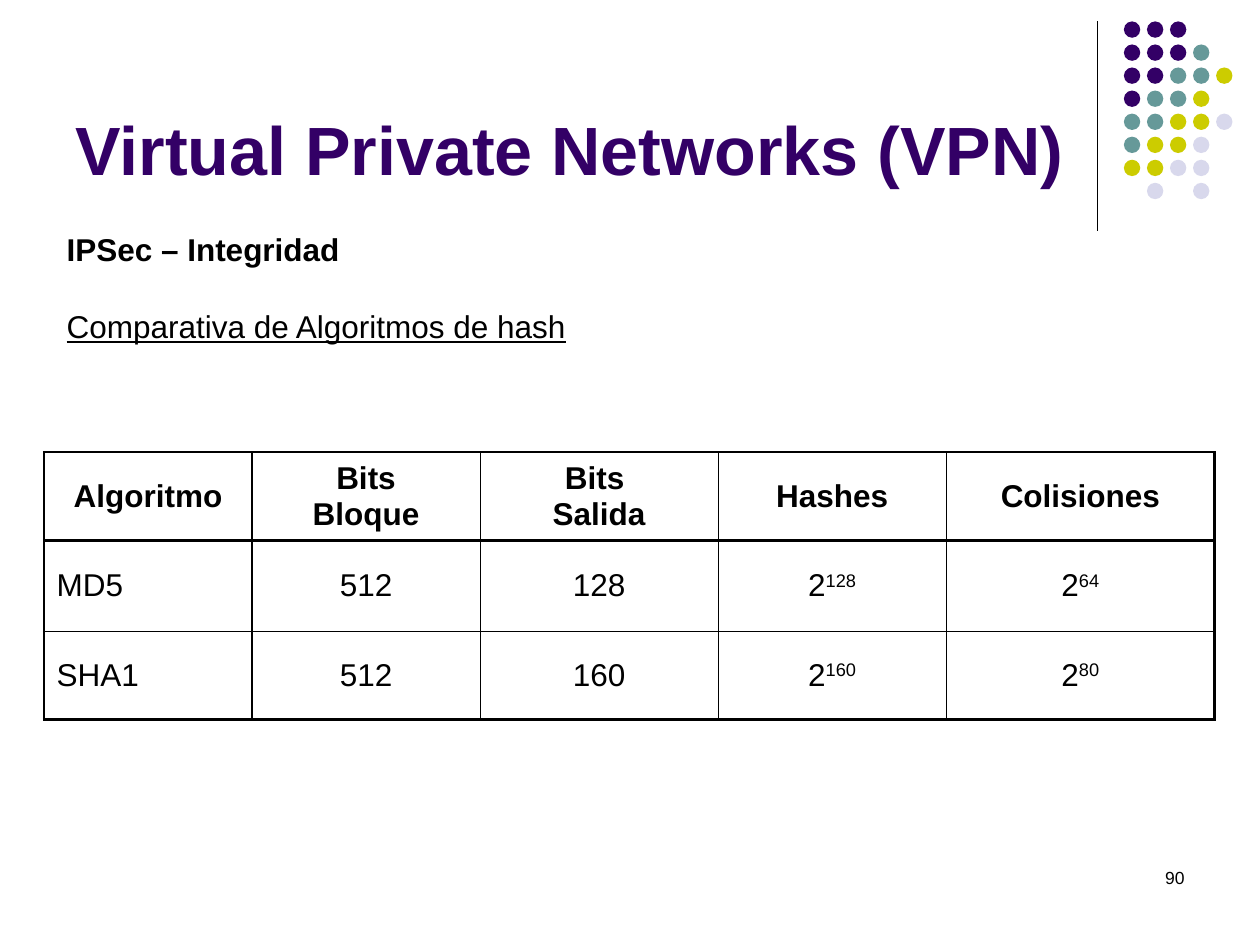
import pptx
import pptx.dml.color
import pptx.enum.shapes
import pptx.enum.text
import pptx.oxml
import pptx.oxml.ns
import pptx.util
from pptx.util import Inches

ALIGN = pptx.enum.text.PP_ALIGN
ANCHOR = pptx.enum.text.MSO_ANCHOR
BLACK, PURPLE = "000000", "330066"
DOT_COLORS = {"p": PURPLE, "t": "669999", "y": "CCCC00", "l": "D8D8EC"}
DOT_ROWS = ["ppp", "pppt", "pptty", "ptty", "ttyyl", "tyyl", "yyll", " l l"]

HEADINGS = ["Algoritmo", "Bits\nBloque", "Bits \nSalida", "Hashes", "Colisiones"]
# A caret separates a base from its exponent
ALGORITHMS = [
    ["MD5", "512", "128", "2^128", "2^64"],
    ["SHA1", "512", "160", "2^160", "2^80"],
]
COLUMN_WIDTHS = [1.65, 1.81, 1.89, 1.81, 2.13]
ROW_HEIGHTS = [0.7, 0.72, 0.7]
THICK, MEDIUM, THIN, HAIR = 1.47, 1.08, 0.45, 0.23


def color(value):
    return pptx.dml.color.RGBColor.from_string(value)


def add_span(para, text, size, ink=BLACK, bold=False, underline=False):
    span = para.add_run()
    span.text = text
    font = span.font
    font.name, font.size = "Arial", pptx.util.Pt(size)
    font.bold, font.underline = bold, underline
    font.color.rgb = color(ink)
    return span


def add_text_box(page, left, top, width, height, anchor=ANCHOR.TOP):
    box = page.shapes.add_textbox(Inches(left), Inches(top), Inches(width), Inches(height))
    box.text_frame.word_wrap = True
    box.text_frame.vertical_anchor = anchor
    return box.text_frame


def add_dots(page, left, top, pitch=0.183, size=0.13):
    for row, codes in enumerate(DOT_ROWS):
        for column, code in enumerate(codes):
            if code == " ":
                continue
            dot = page.shapes.add_shape(
                pptx.enum.shapes.MSO_SHAPE.OVAL,
                Inches(left + column * pitch), Inches(top + row * pitch),
                Inches(size), Inches(size))
            dot.shadow.inherit = False
            dot.fill.solid()
            dot.fill.fore_color.rgb = color(DOT_COLORS[code])
            dot.line.fill.background()


def add_divider(page, left, top, height):
    line = page.shapes.add_connector(
        pptx.enum.shapes.MSO_CONNECTOR.STRAIGHT,
        Inches(left), Inches(top), Inches(left), Inches(top + height))
    line.line.color.rgb = color(BLACK)
    line.line.width = pptx.util.Pt(0.75)
    properties = line._element.spPr
    properties.append(properties.makeelement(pptx.oxml.ns.qn("a:effectLst"), {}))


def add_title(page, left, top, width, height):
    frame = add_text_box(page, left, top, width, height, ANCHOR.BOTTOM)
    add_span(frame.paragraphs[0], "Virtual Private Networks (VPN)", 39, PURPLE, bold=True)


def add_subtitles(page, left, top, width, height):
    frame = add_text_box(page, left, top, width, height)
    add_span(frame.paragraphs[0], "IPSec – Integridad", 18, bold=True)
    para = frame.add_paragraph()
    para.space_before = pptx.util.Pt(22)
    add_span(para, "Comparativa de Algoritmos de hash", 18, underline=True)


def add_page_number(page, left, top, width, height):
    para = add_text_box(page, left, top, width, height).paragraphs[0]
    para.alignment = ALIGN.RIGHT
    add_span(para, "90", 10)


def set_borders(cell, widths):
    properties = cell._tc.get_or_add_tcPr()
    for position, (side, width) in enumerate(zip("LRTB", widths)):
        border = pptx.oxml.parse_xml(
            f'<a:ln{side} {pptx.oxml.ns.nsdecls("a")} w="{pptx.util.Pt(width)}">'
            f'<a:solidFill><a:srgbClr val="{BLACK}"/></a:solidFill></a:ln{side}>')
        properties.insert(position, border)


def fill_cell(cell, text, bold, alignment):
    cell.fill.background()
    cell.vertical_anchor = ANCHOR.MIDDLE
    para = cell.text_frame.paragraphs[0]
    para.alignment = alignment
    base, _, exponent = text.partition("^")
    for index, line in enumerate(base.split("\n")):
        if index:
            para.add_line_break()
        add_span(para, line, 18, bold=bold)
    if exponent:
        span = add_span(para, exponent, 18, bold=bold)
        span._r.get_or_add_rPr().set("baseline", "30000")


def add_hash_table(page, left, top):
    rows = [HEADINGS] + ALGORITHMS
    table = page.shapes.add_table(
        len(rows), len(HEADINGS), Inches(left), Inches(top),
        Inches(sum(COLUMN_WIDTHS)), Inches(sum(ROW_HEIGHTS))).table
    table.first_row = table.horz_banding = False
    for column, width in zip(table.columns, COLUMN_WIDTHS):
        column.width = Inches(width)
    for row, height in zip(table.rows, ROW_HEIGHTS):
        row.height = Inches(height)

    horizontal = [THICK, THICK, HAIR, THICK]
    for r, texts in enumerate(rows):
        inner = THIN if r else HAIR
        vertical = [THICK, MEDIUM, inner, inner, inner, THICK]
        for c, text in enumerate(texts):
            cell = table.cell(r, c)
            left_aligned = r > 0 and c == 0
            fill_cell(cell, text, r == 0, ALIGN.LEFT if left_aligned else ALIGN.CENTER)
            set_borders(cell, vertical[c:c + 2] + horizontal[r:r + 2])


def main():
    deck = pptx.Presentation()
    deck.slide_width, deck.slide_height = Inches(10), Inches(7.5)
    page = deck.slides.add_slide(deck.slide_layouts[6])

    # Corner decoration
    add_divider(page, 8.71, 0.17, 1.66)
    add_dots(page, 8.92, 0.17)

    # Content
    add_page_number(page, 7.17, 6.83, 2.33, 0.5)
    add_title(page, 0.5, 0.13, 8.25, 1.42)
    add_subtitles(page, 0.43, 1.78, 9.21, 1)
    add_hash_table(page, 0.35, 3.59)

    deck.save("out.pptx")


if __name__ == "__main__":
    main()
